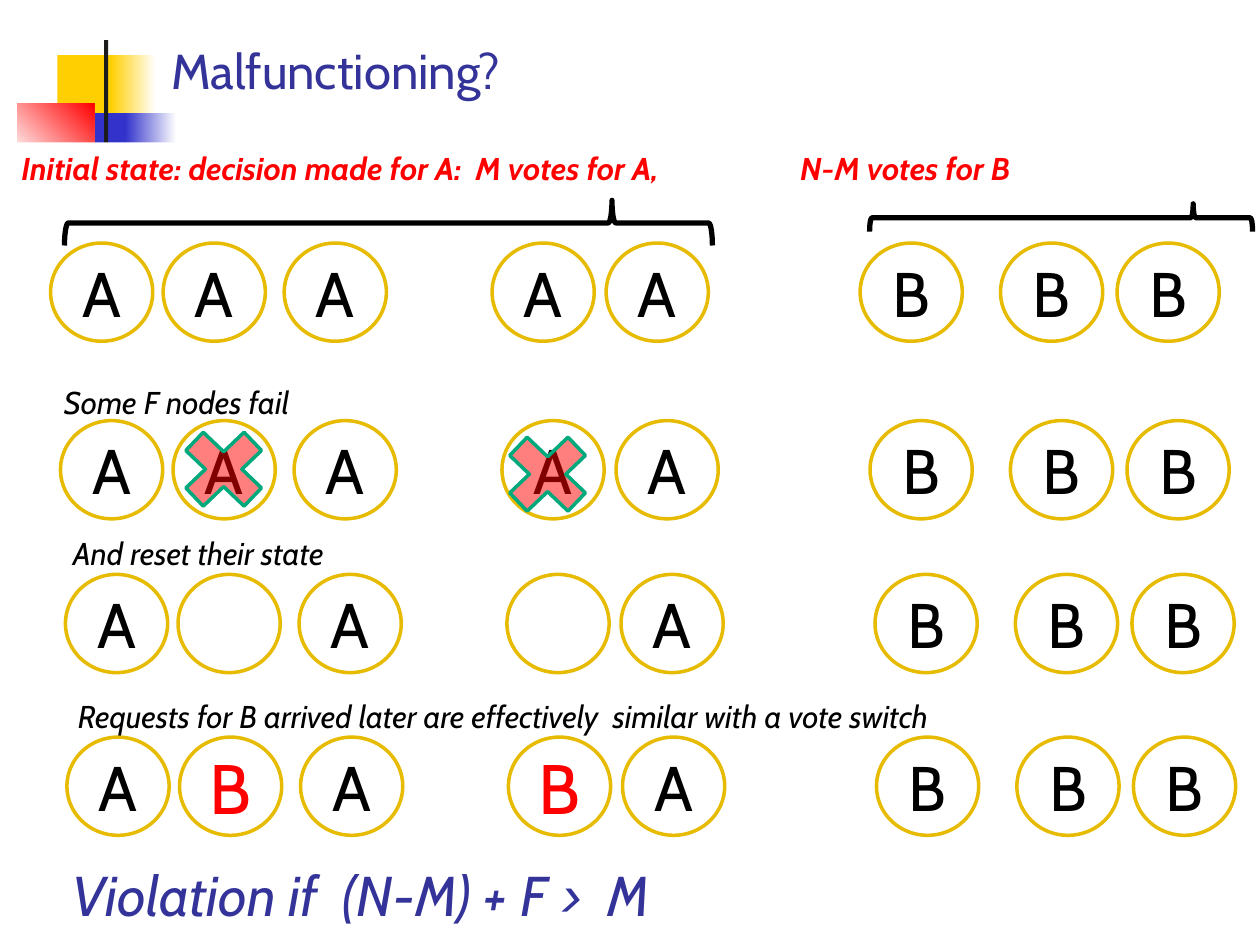
from lxml import etree
from pptx import Presentation
from pptx.dml.color import RGBColor
from pptx.enum import shapes, text
from pptx.oxml import ns
from pptx.util import Cm, Pt

FONT = "Cabin"
BLACK = RGBColor(0x00, 0x00, 0x00)
WHITE = RGBColor(0xFF, 0xFF, 0xFF)
RED = RGBColor(0xFF, 0x00, 0x00)
NAVY = RGBColor(0x33, 0x33, 0x99)
BLUE = RGBColor(0x33, 0x33, 0xCC)
YELLOW = RGBColor(0xFF, 0xCF, 0x01)
GOLD = RGBColor(0xE7, 0xBB, 0x01)
GREEN = RGBColor(0x00, 0xA9, 0x7C)
CHARCOAL = RGBColor(0x1C, 0x1C, 0x1C)

KIND = shapes.MSO_SHAPE
NODE_W, NODE_H = 2.06, 1.98
NODE_LEFTS = (0, 2.27, 4.71, 8.9, 11.2, 16.32, 19.15, 21.5)


def add_shape(s, kind, x, y, w, h, fill=None, line=None, weight=2):
    """Add a flat preset shape at a place in centimetres."""
    sp = s.shapes.add_shape(kind, Cm(x), Cm(y), Cm(w), Cm(h))
    sp.shadow.inherit = False
    if fill is None:
        sp.fill.background()
    else:
        sp.fill.solid()
        sp.fill.fore_color.rgb = fill
    if line is None:
        sp.line.fill.background()
    else:
        sp.line.color.rgb = line
        sp.line.width = Pt(weight)
    return sp


def add_run(p, words, size, color, bold=False, italic=False):
    """Add one formatted run to a paragraph."""
    r = p.add_run()
    r.text = words
    r.font.name = FONT
    r.font.size = Pt(size)
    r.font.color.rgb = color
    r.font.bold = bold
    r.font.italic = italic


def add_gradient(s, x, y, w, h, start, end, angle=0):
    """Add a rectangle that fades from one colour to another."""
    sp = add_shape(s, KIND.RECTANGLE, x, y, w, h, start)
    sp.fill.gradient()
    sp.fill.gradient_angle = angle
    for stop, color in zip(sp.fill.gradient_stops, (start, end)):
        stop.color.rgb = color


def add_ornament(s, x, y):
    """Draw the coloured blocks and the bar beside the title."""
    add_shape(s, KIND.RECTANGLE, x + 0.81, y + 0.3, 1.22, 1.32, YELLOW)
    add_gradient(s, x + 1.88, y + 0.3, 0.91, 1.32, YELLOW, WHITE)
    add_shape(s, KIND.RECTANGLE, x + 1.14, y + 1.47, 1.17, 1.32, BLUE)
    add_gradient(s, x + 2.18, y + 1.47, 1.02, 1.32, BLUE, WHITE)
    add_gradient(s, x, y + 1.27, 1.55, 1.17, WHITE, RED, 45)
    add_shape(s, KIND.RECTANGLE, x + 1.75, y, 0.08, 2.92, CHARCOAL)


def add_title(s, words, x, y, w, h):
    """Place and format the title placeholder."""
    sp = s.shapes.title
    sp.left, sp.top, sp.width, sp.height = Cm(x), Cm(y), Cm(w), Cm(h)
    tf = sp.text_frame
    tf.vertical_anchor = text.MSO_ANCHOR.BOTTOM
    p = tf.paragraphs[0]
    p.alignment = text.PP_ALIGN.LEFT
    add_run(p, words, 28, NAVY)


def add_caption(s, words, x, y, w, h, size=18, color=BLACK, bold=False, fill=None):
    """Add an italic line of text, on a filled box if a fill is given."""
    sp = s.shapes.add_textbox(Cm(x), Cm(y), Cm(w), Cm(h))
    if fill is not None:
        sp.fill.solid()
        sp.fill.fore_color.rgb = fill
    tf = sp.text_frame
    tf.word_wrap = True
    tf.auto_size = text.MSO_AUTO_SIZE.SHAPE_TO_FIT_TEXT
    p = tf.paragraphs[0]
    add_run(p, words, size, color, bold, True)
    return p


def add_heading(s, votes_a, votes_b, x, y, w, h, tab):
    """Add the initial-state line, its second part set at a tab stop."""
    p = add_caption(s, votes_a, x, y, w, h, color=RED, bold=True, fill=WHITE)
    add_run(p, "\t" + votes_b, 18, RED, True, True)
    tabs = etree.SubElement(p._p.get_or_add_pPr(), ns.qn("a:tabLst"))
    etree.SubElement(tabs, ns.qn("a:tab"), pos=str(Cm(tab)), algn="l")


def add_brace(s, x, y, w, h):
    """Add a brace lying over the box, its tip pointing up."""
    sp = add_shape(s, KIND.LEFT_BRACE, x + (w - h) / 2, y + (h - w) / 2, h, w,
                   line=BLACK, weight=3)
    sp.rotation = 90
    sp.adjustments[0] = 0.083
    sp.adjustments[1] = 0.155


def add_votes(s, votes, x, y, switched=()):
    """Draw one row of voting nodes, with switched votes in red."""
    for i, (vote, left) in enumerate(zip(votes, NODE_LEFTS)):
        sp = add_shape(s, KIND.OVAL, x + left, y, NODE_W, NODE_H, WHITE, GOLD)
        if vote == " ":
            continue
        tf = sp.text_frame
        tf.word_wrap = False
        tf.vertical_anchor = text.MSO_ANCHOR.MIDDLE
        p = tf.paragraphs[0]
        p.alignment = text.PP_ALIGN.CENTER
        size, color = (40, RED) if i in switched else (36, BLACK)
        add_run(p, vote, size, color)


def add_failure(s, x, y):
    """Mark a failed node with a half-transparent cross."""
    sp = add_shape(s, KIND.MATH_MULTIPLY, x, y, 2.26, 2.16, RED, GREEN)
    color = sp._element.spPr.find(ns.qn("a:solidFill"))[0]
    etree.SubElement(color, ns.qn("a:alpha"), val="50000")


def main():
    """Build the slide and save it."""
    prs = Presentation()
    prs.slide_width, prs.slide_height = Cm(25.4), Cm(19.05)
    s = prs.slides.add_slide(prs.slide_layouts[5])
    add_ornament(s, 0.35, 0.81)
    add_title(s, "Malfunctioning?", 3.2, -0.23, 21.64, 2.36)
    add_votes(s, "AAAAABBB", 1.02, 4.9)
    add_votes(s, "AAAAABBB", 1.22, 8.48)
    add_failure(s, 3.38, 8.38)
    add_failure(s, 9.91, 8.48)
    add_votes(s, "A A ABBB", 1.32, 11.58)
    add_votes(s, "ABABABBB", 1.35, 14.86, (1, 3))
    add_caption(s, "Some F nodes fail", 1.04, 7.6, 7.67, 1.02)
    add_heading(s, "Initial state: decision made for A:  M votes for A,",
                "N-M votes for B", 0.18, 2.87, 25.88, 1.02, 15.7)
    add_caption(s, "And reset their state", 1.22, 10.64, 7.67, 1.02)
    add_caption(s, "Requests for B arrived later are effectively  similar with a vote switch",
                1.32, 13.92, 20.02, 1.02)
    add_caption(s, "Violation if  (N-M) + F >  M", 1.22, 17.22, 20.02, 1.63,
                size=32, color=NAVY, fill=WHITE)
    add_brace(s, 1.3, 4.04, 13.06, 0.91)
    add_brace(s, 17.53, 4.11, 7.72, 0.56)
    prs.save("out.pptx")


if __name__ == "__main__":
    main()
